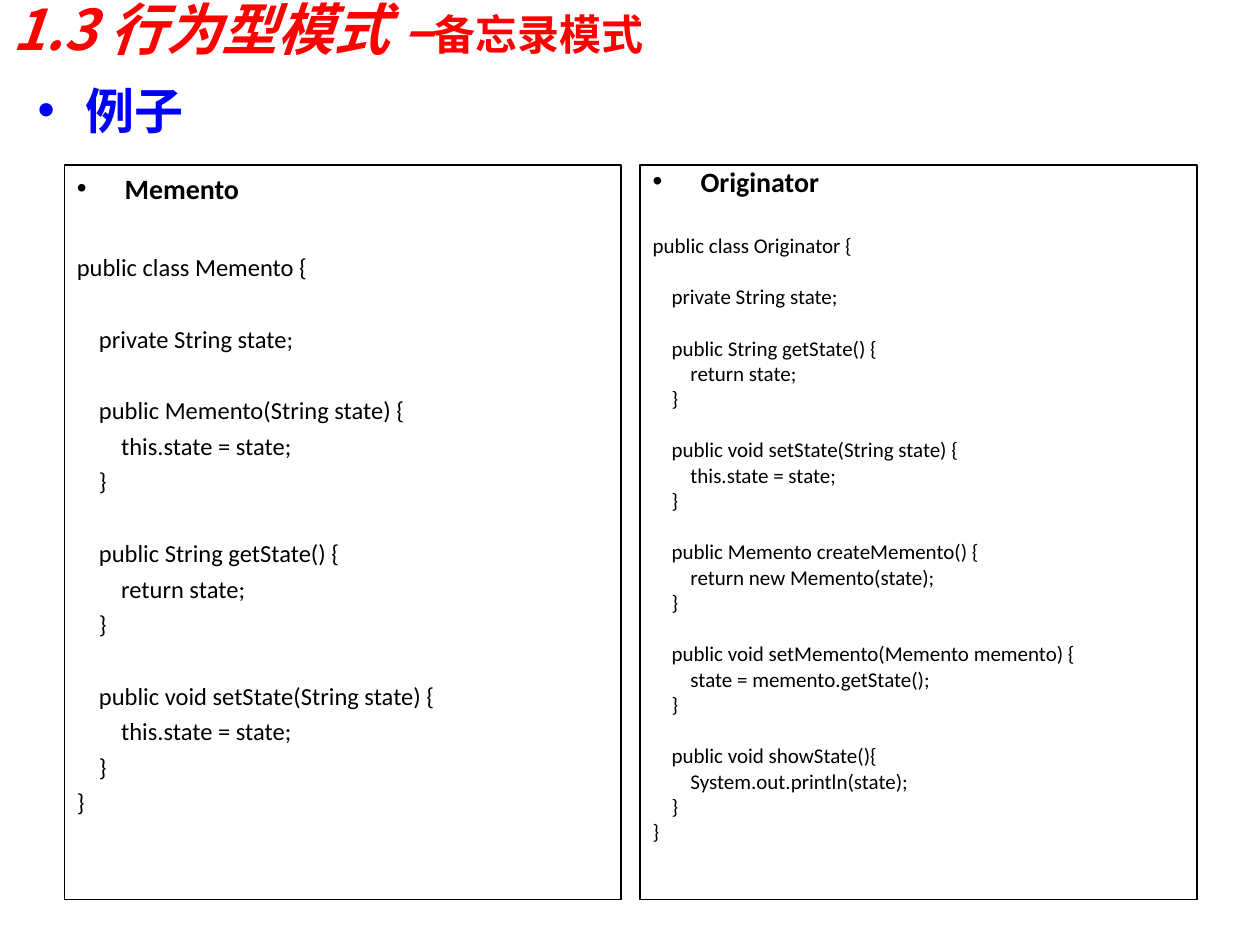
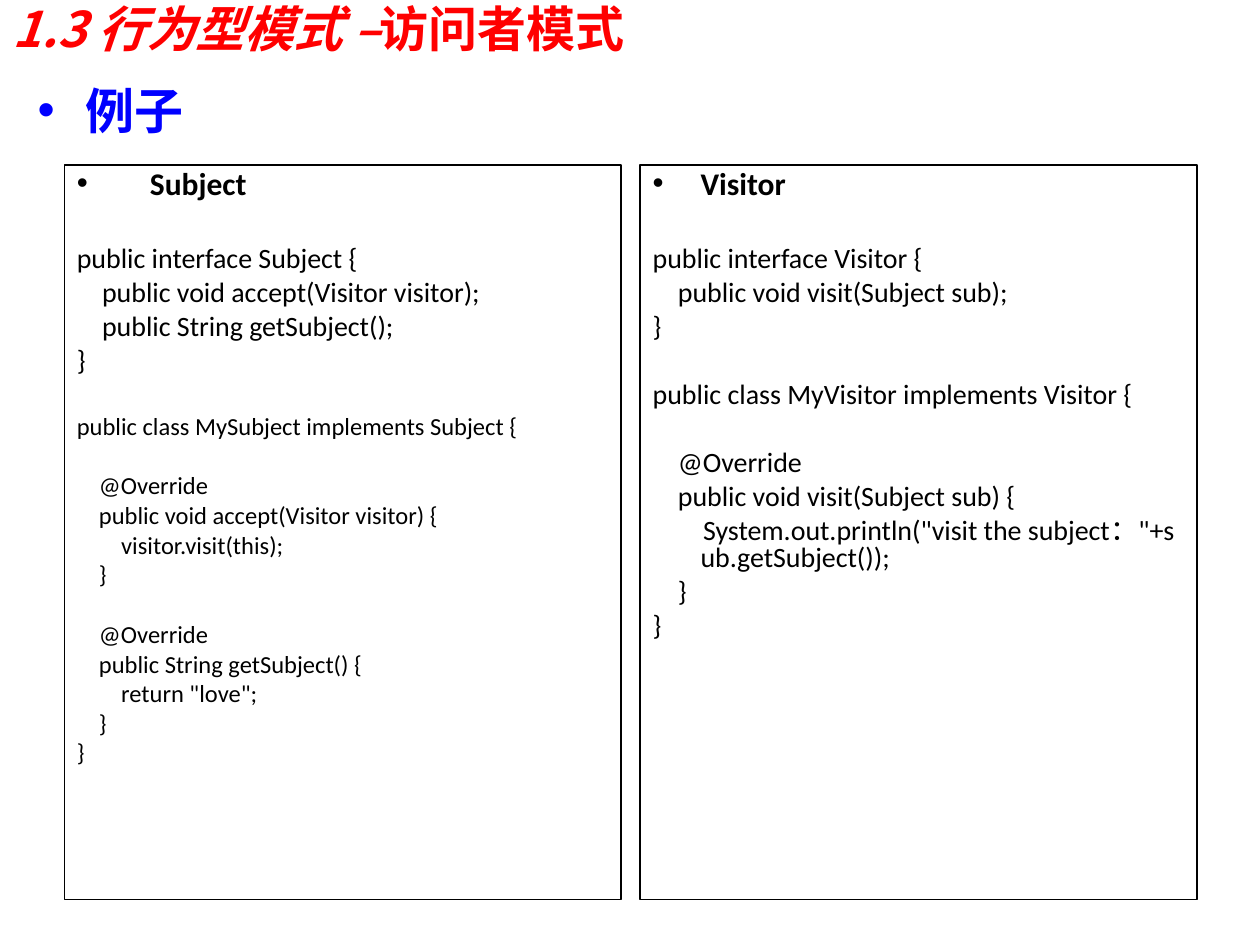
from pptx import Presentation
from pptx.dml.color import RGBColor
from pptx.enum.text import MSO_ANCHOR, MSO_AUTO_SIZE, PP_ALIGN
from pptx.oxml.ns import qn
from pptx.util import Inches, Pt

RED = RGBColor(0xFF, 0, 0)
BLUE = RGBColor(0, 0, 0xFF)
BLACK = RGBColor(0, 0, 0)
LATIN, CJK = "Calibri", "Noto Sans CJK SC"
LEFT, MIDDLE, NO_FIT = PP_ALIGN.LEFT, MSO_ANCHOR.MIDDLE, MSO_AUTO_SIZE.NONE
NBSP = chr(160)
LINE_HEIGHT = 1.22  # natural line height of the code font, in ems
SPACING = 0.25      # space before a paragraph, in ems

MEMENTO = """public class Memento {

    private String state;

    public Memento(String state) {
        this.state = state;
    }

    public String getState() {
        return state;
    }

    public void setState(String state) {
        this.state = state;
    }
}"""

ORIGINATOR = """public class Originator {

    private String state;

    public String getState() {
        return state;
    }

    public void setState(String state) {
        this.state = state;
    }

    public Memento createMemento() {
        return new Memento(state);
    }

    public void setMemento(Memento memento) {
        state = memento.getState();
    }

    public void showState(){
        System.out.println(state);
    }
}"""

SUBJECT = """public interface Subject {
    public void accept(Visitor visitor);
    public String getSubject();
}"""

MY_SUBJECT = """public class MySubject implements Subject {

    @Override
    public void accept(Visitor visitor) {
        visitor.visit(this);
    }

    @Override
    public String getSubject() {
        return "love";
    }
}"""

VISITOR = """public interface Visitor {
    public void visit(Subject sub);
}

public class MyVisitor implements Visitor {

    @Override
    public void visit(Subject sub) {
        System.out.println("visit the subject：\"+sub.getSubject());
    }
}"""

# Panel: heading, heading size, indent, line spacing, [(code, size), ...]
SLIDES = [
    ("备忘录模式", 32, 24, LATIN, [
        ("Memento", 16, 0.38, 1.0, [(MEMENTO, 14)]),
        ("Originator", 16, 0.38, 0.8, [(ORIGINATOR, 12)]),
    ]),
    ("访问者模式", 28, 28, CJK, [
        ("Subject", 18, 0.58, 0.8, [(SUBJECT.replace(" ", NBSP), 16),
                                    (MY_SUBJECT.replace(" ", NBSP), 14)]),
        ("Visitor", 18, 0.38, 0.8, [(VISITOR.replace(" ", NBSP), 16)]),
    ]),
]


def style_run(run, size, color, bold=False, italic=False, latin=LATIN):
    font = run.font
    font.size, font.bold, font.italic = Pt(size), bold, italic
    font.color.rgb = color
    font.name = latin
    east_asian = run._r.get_or_add_rPr().makeelement(qn("a:ea"), {"typeface": CJK})
    font._element.find(qn("a:latin")).addnext(east_asian)


def format_paragraph(paragraph, indent, spacing, before=0, bullet_color=None):
    props = paragraph._p.get_or_add_pPr()
    props.set("marL", str(Inches(indent)))
    props.set("indent", str(-Inches(indent)))
    paragraph.alignment = LEFT
    paragraph.line_spacing = spacing
    paragraph.space_before = Pt(before)
    paragraph.space_after = Pt(0)
    if bullet_color is None:
        props.append(props.makeelement(qn("a:buNone"), {}))
        return
    color = props.makeelement(qn("a:buClr"), {})
    color.append(color.makeelement(qn("a:srgbClr"), {"val": str(bullet_color)}))
    props.append(color)
    props.append(props.makeelement(qn("a:buFont"), {"typeface": "Arial"}))
    props.append(props.makeelement(qn("a:buChar"), {"char": "•"}))


prs = Presentation()
prs.slide_width, prs.slide_height = Inches(10), Inches(7.5)
two_content = prs.slide_layouts[3]

for pattern, chapter_size, pattern_size, pattern_font, panels in SLIDES:
    slide = prs.slides.add_slide(two_content)

    # Title: chapter in italics, pattern upright
    title = slide.shapes.title
    title.left, title.top = Inches(0), Inches(0)
    title.width, title.height = Inches(9), Inches(0.44)
    title.text_frame.auto_size = NO_FIT
    title.text_frame.vertical_anchor = MIDDLE
    heading = title.text_frame.paragraphs[0]
    heading.alignment = LEFT
    for words, size, italic, latin in (
            ("1.3 行为型模式 –", chapter_size, True, CJK),
            (pattern, pattern_size, False, pattern_font)):
        run = heading.add_run()
        run.text = words
        style_run(run, size, RED, True, italic, latin)

    # Example label
    example = slide.shapes.add_textbox(
        Inches(0.2), Inches(0.68), Inches(3.54), Inches(1.04)).text_frame
    example.word_wrap = True
    example.text = "例子"
    format_paragraph(example.paragraphs[0], 0.38, 0.8, bullet_color=BLUE)
    style_run(example.paragraphs[0].runs[0], 28, BLUE, True)

    # Code panels, side by side
    for column, (name, name_size, indent, spacing, blocks) in enumerate(panels):
        panel = slide.placeholders[column + 1]
        panel.left, panel.top = Inches(0.51 + column * 4.57), Inches(1.31)
        panel.width, panel.height = Inches(4.42), Inches(5.83)
        panel.line.color.rgb = BLACK
        panel.line.width = Pt(0.75)
        code_frame = panel.text_frame
        code_frame.auto_size = NO_FIT
        code_frame.text = name
        format_paragraph(code_frame.paragraphs[0], indent, spacing,
                         bullet_color=BLACK)
        style_run(code_frame.paragraphs[0].runs[0], name_size, BLACK, True)

        # An empty code line becomes space before the next line
        last_size = name_size
        for code, size in blocks:
            gap = last_size * (LINE_HEIGHT * spacing + SPACING)
            for line in code.split("\n"):
                if not line:
                    gap = last_size * (LINE_HEIGHT * spacing + SPACING)
                    continue
                code_line = code_frame.add_paragraph()
                code_line.text = line
                format_paragraph(code_line, indent, spacing,
                                 round(gap + size * SPACING, 1))
                style_run(code_line.runs[0], size, BLACK)
                gap, last_size = 0, size

prs.save("out.pptx")
